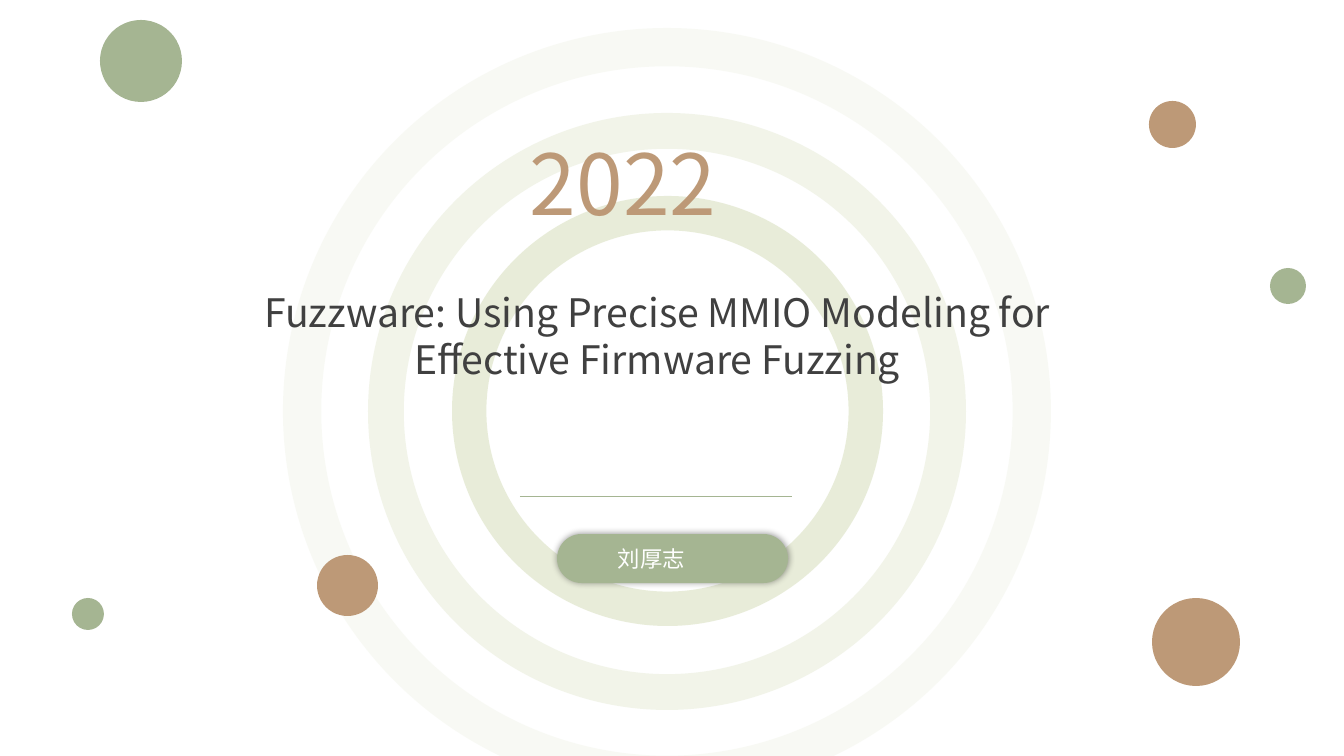
from pptx import Presentation
from pptx.dml.color import RGBColor
from pptx.enum.shapes import MSO_CONNECTOR as LINE, MSO_SHAPE as KIND
from pptx.enum.text import MSO_ANCHOR as ANCHOR, PP_ALIGN as ALIGN
from pptx.oxml import parse_xml
from pptx.oxml.ns import nsdecls, qn
from pptx.util import Pt
from lxml import etree

# Content
YEAR = "2022"
TITLE = "Fuzzware: Using Precise MMIO Modeling for Effective Firmware Fuzzing"
NAME = "刘厚志"

FONT = "Noto Sans CJK SC"
HUES = {"pale": "DFE5CA", "green": "A5B592", "tan": "BD9977",
        "dark": "404040", "white": "FFFFFF", "black": "000000"}

# Rings: left, top, width, height, band ratio, opacity in percent
RINGS = [(283, 28, 768, 766, 0.05, 20),
         (368, 113, 598, 597, 0.06, 40),
         (452, 196, 431, 430, 0.08, 70)]
# Dots: left, top, size, hue
DOTS = [(1149, 101, 47, "tan"), (1152, 598, 88, "tan"),
        (72, 598, 32, "green"), (317, 555, 61, "tan"),
        (100, 20, 82, "green"), (1270, 268, 36, "green")]
RULE = (520, 496, 792, 496)
PILL = (557, 534, 231, 49)
# Text: box and format
YEAR_BOX = (520, 127, 272, 112)
TITLE_BOX = (212, 283, 890, 105)
NAME_BOX = (608, 540, 130, 37)

SCALE = 914400 / 100.8


def px(*nums):
    return [round(n * SCALE) for n in nums]


def rgb(hue):
    return RGBColor.from_string(HUES[hue])


def draw(kind, box, hue):
    shape = slide.shapes.add_shape(kind, *px(*box))
    shape.shadow.inherit = False
    shape.fill.solid()
    shape.fill.fore_color.rgb = rgb(hue)
    shape.line.fill.background()
    return shape


def write(shape, text, size, hue, align):
    frame = shape.text_frame
    frame.word_wrap = True
    frame.vertical_anchor = ANCHOR.TOP
    para = frame.paragraphs[0]
    para.alignment = align
    run = para.add_run()
    run.text = text
    for key, value in {"size": Pt(size), "name": FONT}.items():
        setattr(run.font, key, value)
    run.font.color.rgb = rgb(hue)
    etree.SubElement(run.font._element, qn("a:ea"), typeface=FONT)


deck = Presentation()
deck.slide_width, deck.slide_height = px(1344, 756)
slide = deck.slides.add_slide(deck.slide_layouts[5])

# Rings, with transparent fill
for *box, band, alpha in RINGS:
    ring = draw(KIND.DONUT, box, "pale")
    ring.adjustments[0] = band
    tint = ring.fill._xPr.find(".//" + qn("a:srgbClr"))
    etree.SubElement(tint, qn("a:alpha"), val=str(alpha * 1000))

# Dots
for left, top, size, hue in DOTS:
    draw(KIND.OVAL, (left, top, size, size), hue)

# Rule
rule = slide.shapes.add_connector(LINE.STRAIGHT, *px(*RULE))
rule.line.color.rgb = rgb("green")
rule.line.width = Pt(0.5)
etree.SubElement(rule._element.spPr, qn("a:effectLst"))

# Year and title
year = slide.shapes.add_textbox(*px(*YEAR_BOX))
write(year, YEAR, 60, "tan", ALIGN.JUSTIFY)
title = slide.shapes.title
title.left, title.top, title.width, title.height = px(*TITLE_BOX)
write(title, TITLE, 28, "dark", ALIGN.CENTER)
slide.shapes._spTree.append(title._element)

# Name pill with soft shadow
pill = draw(KIND.ROUNDED_RECTANGLE, PILL, "green")
pill.adjustments[0] = 0.5
pill._element.spPr.find(qn("a:effectLst")).append(parse_xml(
    f'<a:outerShdw {nsdecls("a")} blurRad="{Pt(5)}" dist="0" dir="0" algn="ctr">'
    f'<a:srgbClr val="{HUES["black"]}"><a:alpha val="40000"/></a:srgbClr>'
    '</a:outerShdw>'))
name = slide.shapes.add_textbox(*px(*NAME_BOX))
write(name, NAME, 16, "white", ALIGN.JUSTIFY)

deck.save("out.pptx")
